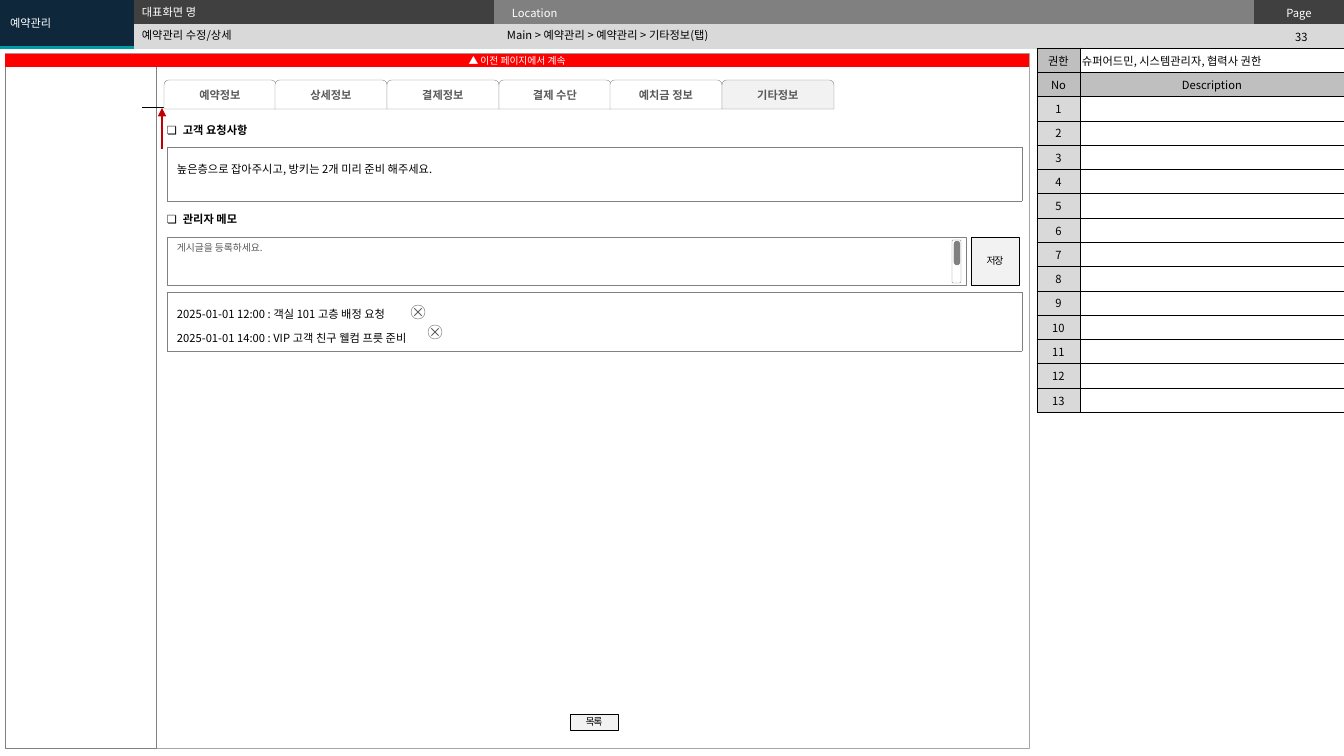
from lxml.etree import SubElement
from pptx import Presentation
from pptx.dml.color import RGBColor
from pptx.enum.shapes import MSO_CONNECTOR, MSO_SHAPE as SHAPE
from pptx.enum.text import MSO_ANCHOR as ANCHOR, PP_ALIGN as ALIGN
from pptx.oxml import parse_xml
from pptx.oxml.ns import nsdecls, qn
from pptx.util import Pt

PX = 914400 / 100.8
FONT = "Noto Sans CJK KR"
NO_GRID = "{2D5ABB26-0587-4C30-8999-92F81FD0307C}"
BLACK, WHITE, GRAY, DARK, PALE = "000000", "FFFFFF", "808080", "404040", "F2F2F2"

px = lambda *lengths: [round(length * PX) for length in lengths]
color = RGBColor.from_string


def write(frame, text, size=8, ink=BLACK, bold=False, align=ALIGN.LEFT,
          spacing=None, tracking=None, bullet=None):
    frame.word_wrap = True
    frame.text = text
    for paragraph in frame.paragraphs:
        paragraph.alignment = align
        if spacing:
            paragraph.line_spacing = spacing
        if bullet:
            properties = paragraph._p.get_or_add_pPr()
            properties.set("marL", str(px(16)[0]))
            properties.set("indent", str(px(-16)[0]))
            SubElement(properties, qn("a:buFont"), typeface=FONT)
            SubElement(properties, qn("a:buChar"), char=bullet)
        font = paragraph.font
        font.size, font.bold, font.name = Pt(size), bold, FONT
        font.color.rgb = color(ink)
        SubElement(font._element, qn("a:ea"), typeface=FONT)
        if tracking:
            font._element.set("spc", str(tracking))
        if not text:
            paragraph._p.get_or_add_endParaRPr().set("sz", str(size * 100))


def add_box(left, top, width, height, fill=None, line=None, text="",
            kind=SHAPE.RECTANGLE, anchor=ANCHOR.MIDDLE, inset=(10, 5), **style):
    shape = slide.shapes.add_shape(kind, *px(left, top, width, height))
    shape.shadow.inherit = False
    if fill:
        shape.fill.solid()
        shape.fill.fore_color.rgb = color(fill)
    else:
        shape.fill.background()
    if line:
        shape.line.color.rgb = color(line)
        shape.line.width = Pt(0.25)
    else:
        shape.line.fill.background()
    if text:
        frame = shape.text_frame
        frame.vertical_anchor = anchor
        frame.margin_left, frame.margin_top = frame.margin_right, frame.margin_bottom = px(*inset)
        write(frame, text, **style)
    return shape


presentation = Presentation()
presentation.slide_width, presentation.slide_height = px(1344, 756)
slide = presentation.slides.add_slide(presentation.slide_layouts[6])

# Tables: left, top, column widths, row height, border, cell inset, rows of (text, fill, style)
centered = {"align": ALIGN.CENTER}
header_rows = [
    [("", "009CA6", {}), ("", DARK, {}), ("Location", GRAY, {"ink": WHITE}),
     ("Page", DARK, {"ink": WHITE, **centered})],
    [("", "009CA6", {})] + [("", "D9D9D9", {})] * 3,
]
description_rows = [
    [("권한", "BFBFBF", centered), ("슈퍼어드민, 시스템관리자, 협력사 권한", WHITE, {})],
    [("No", "BFBFBF", centered), ("Description", "BFBFBF", centered)],
] + [[(str(number), "D9D9D9", centered), ("", WHITE, {})] for number in range(1, 14)]
request = "높은층으로 잡아주시고, 방키는 2개 미리 준비 해주세요."
memos = "2025-01-01 12:00 : 객실 101 고층 배정 요청\n2025-01-01 14:00 : VIP 고객 친구 웰컴 프릇 준비"
tables = [
    (0, 0, [134, 360, 760, 90], 24, None, (18, 4), header_rows),
    (1037, 48, [43, 264], 24, (BLACK, 0.5), (2, 4), description_rows),
    (167, 147, [855], 54, (GRAY, 0.25), (10, 5), [[(request, WHITE, {"spacing": 1.5})]]),
    (167, 292, [855], 54, (GRAY, 0.25), (10, 5), [[(memos, WHITE, {"spacing": 1.5})]]),
]
for left, top, widths, row_height, border, inset, rows in tables:
    area = px(left, top, sum(widths), row_height * len(rows))
    table = slide.shapes.add_table(len(rows), len(widths), *area).table
    table.first_row = table.horz_banding = False
    table._tbl.tblPr.find(qn("a:tableStyleId")).text = NO_GRID
    for column, width in zip(table.columns, px(*widths)):
        column.width = width
    for table_row, row in zip(table.rows, rows):
        table_row.height = px(row_height)[0]
        for cell, (text, fill, style) in zip(table_row.cells, row):
            cell.margin_left, cell.margin_top = cell.margin_right, cell.margin_bottom = px(*inset)
            cell.vertical_anchor = ANCHOR.TOP if text == request else ANCHOR.MIDDLE
            cell.fill.solid()
            cell.fill.fore_color.rgb = color(fill)
            write(cell.text_frame, text, **style)
            if border:
                for index, side in enumerate("LRTB"):
                    cell._tc.tcPr.insert(index, parse_xml(
                        f'<a:ln{side} {nsdecls("a")} w="{Pt(border[1])}"><a:solidFill>'
                        f'<a:srgbClr val="{border[0]}"/></a:solidFill></a:ln{side}>'))
    if rows is header_rows:
        table.cell(0, 0).merge(table.cell(1, 0))

# Header texts
add_box(0, 0, 134, 46, fill="0E273B", text="예약관리", ink=WHITE)
header_labels = [
    (132, 0, 365, 24, "대표화면 명", WHITE, ALIGN.LEFT),
    (132, 24, 365, 23, "예약관리 수정/상세", BLACK, ALIGN.LEFT),
    (497, 23, 744, 24, "Main > 예약관리 > 예약관리 > 기타정보(탭)", BLACK, ALIGN.LEFT),
    (1259, 25, 85, 24, "33", BLACK, ALIGN.CENTER),
]
section_labels = [(118, "고객 요청사항"), (207, "관리자 메모")]
for left, top, width, height, text, ink, align in header_labels:
    label = slide.shapes.add_textbox(*px(left, top, width, height)).text_frame
    label.vertical_anchor = ANCHOR.MIDDLE
    write(label, text, ink=ink, align=align)
for top, text in section_labels:
    label = slide.shapes.add_textbox(*px(157, top, 340, 24)).text_frame
    label.vertical_anchor = ANCHOR.MIDDLE
    write(label, text, bold=True, bullet="❏")

# Screen frame, side menu and continuation bar
add_box(5, 53, 1024, 695, line="A6A6A6")
add_box(5, 55, 151, 693, line=GRAY)
add_box(5, 54, 1024, 13, fill="FF0000", text="▲ 이전 페이지에서 계속",
        size=7, ink=WHITE, align=ALIGN.CENTER, inset=(10, 0))

# Memo input with scrollbar, and buttons
add_box(167, 237, 799, 48, line=GRAY, text="게시글을 등록하세요.",
        anchor=ANCHOR.TOP, size=7, ink="595959")
add_box(952, 240, 9, 43, line=GRAY, kind=SHAPE.ROUNDED_RECTANGLE)
thumb = add_box(954, 241, 6, 24, fill=GRAY, line=GRAY, kind=SHAPE.ROUNDED_RECTANGLE)
thumb.adjustments[0] = 0.5
for left, top, height, text in [(971, 237, 48, "저장"), (570, 714, 16, "목록")]:
    add_box(left, top, 48, height, fill=PALE, line=BLACK, text=text, inset=(0, 0),
            size=7, tracking=-90, **centered)

# Delete icons of the memos
for left, top in [(411, 305), (428, 325)]:
    add_box(left, top, 14, 14, line="5F5F5F", kind=SHAPE.OVAL)
    cross = add_box(left, top, 14, 14, fill="5F5F5F", kind=SHAPE.MATH_MULTIPLY)
    cross.adjustments[0] = 0.06

# Scroll marker: baseline and upward arrow
for start, end, ink, width in [((182, 107), (142, 107), BLACK, 0.5),
                               ((162, 149), (162, 108), "C00000", 1.5)]:
    marker = slide.shapes.add_connector(MSO_CONNECTOR.STRAIGHT, *px(*start, *end))
    marker.line.color.rgb = color(ink)
    marker.line.width = Pt(width)
    SubElement(marker._element.spPr, qn("a:effectLst"))
SubElement(marker.line._get_or_add_ln(), qn("a:tailEnd"), type="triangle")

# Tabs, the last one selected
tabs = ["예약정보", "상세정보", "결제정보", "결제 수단", "예치금 정보", "기타정보"]
for index, text in enumerate(tabs):
    add_box(164 + 670 * index // 6, 80, 112, 29, fill=PALE if text == tabs[-1] else WHITE,
            line=GRAY, text=text, kind=SHAPE.ROUND_2_SAME_RECTANGLE,
            ink="595959", bold=True, **centered)

presentation.save("out.pptx")
